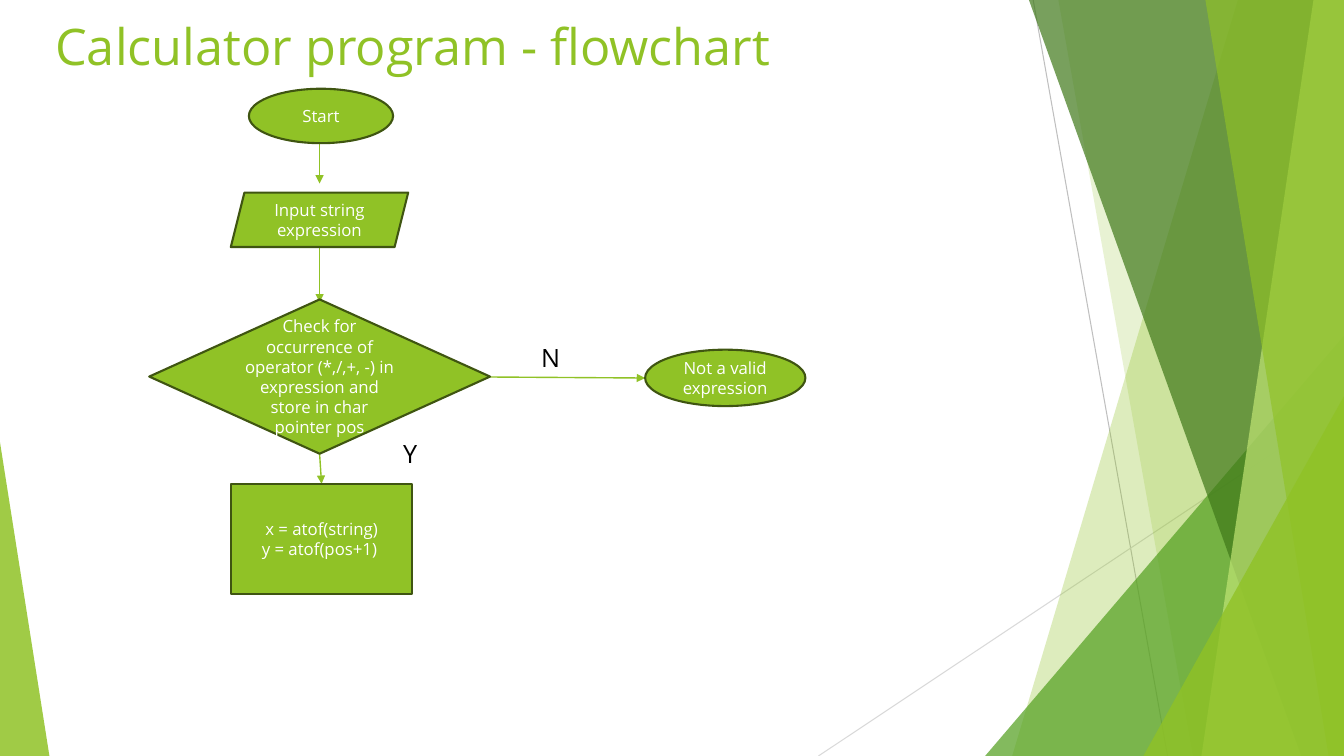
from lxml import etree
from pptx import Presentation
from pptx.dml.color import RGBColor
from pptx.enum.shapes import MSO_CONNECTOR, MSO_SHAPE
from pptx.enum.text import MSO_ANCHOR, PP_ALIGN
from pptx.oxml.ns import qn
from pptx.util import Pt

STRAIGHT = MSO_CONNECTOR.STRAIGHT
TRIANGLE = MSO_SHAPE.ISOSCELES_TRIANGLE
ELLIPSE = MSO_SHAPE.OVAL
DATA = MSO_SHAPE.PARALLELOGRAM
DECISION = MSO_SHAPE.FLOWCHART_DECISION
JUNCTION = MSO_SHAPE.FLOWCHART_CONNECTOR
PROCESS = MSO_SHAPE.FLOWCHART_PROCESS
TOP, MIDDLE = MSO_ANCHOR.TOP, MSO_ANCHOR.MIDDLE
LEFT, CENTER = PP_ALIGN.LEFT, PP_ALIGN.CENTER

WIDTH, HEIGHT = 960, 540
FONT = "Open Sans"
GREEN, DARK_GREEN, WHITE, BLACK = "90C226", "3F5511", "FFFFFF", "000000"


def color(hex_string):
    """Turn a hex string into a colour."""
    return RGBColor.from_string(hex_string)


def write(shape, text, size=12, ink=WHITE, align=CENTER, anchor=MIDDLE):
    """Fill a shape with formatted text, one paragraph a line."""
    frame = shape.text_frame
    frame.word_wrap = True
    frame.vertical_anchor = anchor
    frame.text = text
    for para in frame.paragraphs:
        para.alignment = align
        for span in para.runs:
            span.font.name = FONT
            span.font.size = Pt(size)
            span.font.color.rgb = color(ink)


def add_text(page, box, text, **style):
    """Place a text box."""
    write(page.shapes.add_textbox(*map(Pt, box)), text, **style)


def paint(shape, fill, opacity=100, outline=None):
    """Set the fill, its opacity and the outline of a shape."""
    shape.shadow.inherit = False
    shape.fill.solid()
    shape.fill.fore_color.rgb = color(fill)
    if opacity < 100:
        tone = shape.fill._xPr.find(".//" + qn("a:srgbClr"))
        etree.SubElement(tone, qn("a:alpha"), val=str(opacity * 1000))
    if outline:
        shape.line.color.rgb = color(outline)
        shape.line.width = Pt(1.5)
    else:
        shape.line.fill.background()


def add_line(page, start, end, ink, width, arrow=False):
    """Draw a straight line, with an arrowhead at its end if asked."""
    line = page.shapes.add_connector(STRAIGHT, *map(Pt, (*start, *end)))
    line.line.color.rgb = color(ink)
    line.line.width = Pt(width)
    if arrow:
        etree.SubElement(line.line._get_or_add_ln(), qn("a:tailEnd"), type="triangle")
    etree.SubElement(line._element.spPr, qn("a:effectLst"))


def add_facet(page, box, top_x, bottom_x, fill, opacity):
    """Draw a panel from a slanted left edge to the right side of the box."""
    left, top, width, height = box
    right, bottom = left + width, top + height
    builder = page.shapes.build_freeform(Pt(left + top_x), Pt(top))
    corners = [(right, top), (right, bottom), (left + bottom_x, bottom)]
    builder.add_line_segments([(Pt(x), Pt(y)) for x, y in corners], close=True)
    paint(builder.convert_to_shape(), fill, opacity)


def add_wedge(page, box, width, height, apex, fill, opacity):
    """Draw a right triangle in the lower corner of the box on its apex side."""
    left = box[0] + apex * (box[2] - width)
    top = box[1] + box[3] - height
    wedge = page.shapes.add_shape(TRIANGLE, *map(Pt, (left, top, width, height)))
    wedge.adjustments[0] = apex
    paint(wedge, fill, opacity)


def add_backdrop(page, box):
    """Draw the green facets along the sides of the box."""
    left, top, width, height = box
    right, bottom = left + width, top + height
    add_line(page, (left + 738, top), (left + 834, bottom), "BFBFBF", 0.75)
    add_line(page, (right, top + 290), (left + 584.6, bottom), "D9D9D9", 0.75)
    add_facet(page, box, 884.2, 723, GREEN, 30)
    add_facet(page, box, 756, 852, GREEN, 20)
    add_wedge(page, box, 256.3, 300.2, 1, "54A021", 72)
    add_facet(page, box, 735, 929.5, "3F7819", 70)
    add_facet(page, box, 938.2, 858.2, "C0E474", 70)
    add_facet(page, box, 861, 949, GREEN, 65)
    add_wedge(page, box, 143.3, 257, 1, GREEN, 80)
    add_wedge(page, box, 35.3, 224, 0, GREEN, 85)


def add_flowchart(page, box):
    """Draw the arrows, steps and branch labels of the calculator program."""
    left, top = box[:2]
    arrows = [
        ((121.7, 38.9), (121.7, 67.7)),
        ((121.7, 113), (121.7, 152.6)),
        ((121.7, 260.6), (123.1, 282.2)),
        ((243.4, 205.9), (354.2, 206.6)),
    ]
    steps = [
        (ELLIPSE, (71.2, 0, 103, 38.9), "Start"),
        (DATA, (58.3, 74.2, 126.7, 38.9), "Input string expression"),
        (DECISION, (0, 150.5, 243.4, 110.2),
         "Check for occurrence of operator (*,/,+, -) in expression "
         "and store in char pointer pos"),
        (JUNCTION, (354.2, 186.4, 114.5, 40.3), "Not a valid expression"),
        (PROCESS, (58.6, 282.2, 129.2, 78.5), "x = atof(string)\ny = atof(pos+1) "),
    ]
    branches = [("N", (272.9, 177.8, 54.7, 28.8)), ("Y", (174.2, 246.2, 46.8, 28.8))]
    for (x1, y1), (x2, y2) in arrows:
        add_line(page, (left + x1, top + y1), (left + x2, top + y2), GREEN, 1, arrow=True)
    for kind, (x, y, width, height), text in steps:
        step = page.shapes.add_shape(kind, *map(Pt, (left + x, top + y, width, height)))
        paint(step, GREEN, outline=DARK_GREEN)
        write(step, text)
    for text, (x, y, width, height) in branches:
        add_text(page, (left + x, top + y, width, height), text,
                 size=18, ink=BLACK, align=LEFT, anchor=TOP)


def main():
    """Build the slide and save it."""
    deck = Presentation()
    deck.slide_width, deck.slide_height = Pt(WIDTH), Pt(HEIGHT)
    page = deck.slides.add_slide(deck.slide_layouts[6])
    add_backdrop(page, (0, 0, WIDTH, HEIGHT))
    add_text(page, (32.4, 7.2, 674.6, 64), "Calculator program - flowchart",
             size=36, ink=GREEN, align=LEFT, anchor=TOP)
    add_flowchart(page, (106.6, 63.4, 468.7, 360.7))
    deck.save("out.pptx")


if __name__ == "__main__":
    main()
